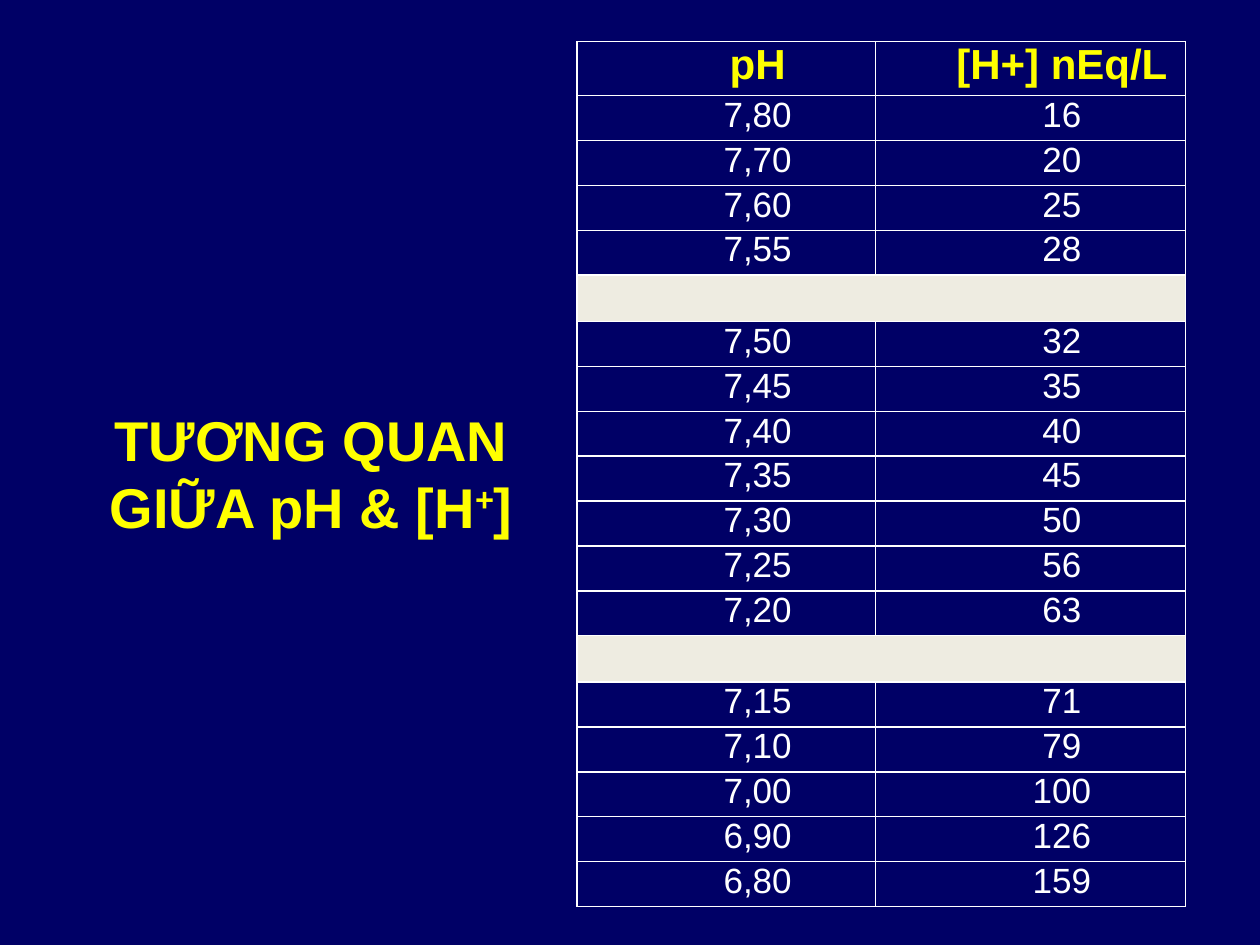
from dataclasses import dataclass

from lxml import etree
from pptx import Presentation
from pptx.dml.color import RGBColor
from pptx.enum.text import MSO_ANCHOR, PP_ALIGN
from pptx.oxml.ns import qn
from pptx.util import Inches, Pt

CENTER = PP_ALIGN.CENTER
MIDDLE = MSO_ANCHOR.MIDDLE
WIDTH, HEIGHT = 10, 7.5


@dataclass(frozen=True)
class Theme:
    font: str = "Arial"
    background: str = "000066"
    accent: str = "FFFF00"
    text: str = "FFFFFF"
    band: str = "EEECE1"
    title_size: int = 32
    header_size: int = 24
    body_size: int = 20


@dataclass(frozen=True)
class Box:
    left: float
    top: float
    width: float
    height: float

    def lengths(self) -> list:
        return [Inches(v) for v in (self.left, self.top, self.width, self.height)]


@dataclass(frozen=True)
class Reading:
    ph: str
    hydrogen: str


THEME = Theme()
TITLE_BOX = Box(0.33, 3.25, 4.28, 1)
TABLE_BOX = Box(4.58, 0.33, 4.83, 6.87)
COLUMN_SHARES = (0.49, 0.51)
HEADER_HEIGHT, BAND_HEIGHT = 0.43, 0.37

HEADER = Reading("pH", "[H+] nEq/L")
GROUPS = (
    (Reading("7,80", "16"), Reading("7,70", "20"), Reading("7,60", "25"),
     Reading("7,55", "28")),
    (Reading("7,50", "32"), Reading("7,45", "35"), Reading("7,40", "40"),
     Reading("7,35", "45"), Reading("7,30", "50"), Reading("7,25", "56"),
     Reading("7,20", "63")),
    (Reading("7,15", "71"), Reading("7,10", "79"), Reading("7,00", "100"),
     Reading("6,90", "126"), Reading("6,80", "159")),
)


def add_run(p, text: str, size: int, color: str, bold: bool):
    r = p.add_run()
    r.text = text
    r.font.size = Pt(size)
    r.font.bold = bold
    r.font.color.rgb = RGBColor.from_string(color)
    r.font.name = THEME.font
    return r


def add_text_shadow(r) -> None:
    fill = r.font._element.find(qn("a:solidFill"))
    effects = etree.Element(qn("a:effectLst"))
    shadow = etree.SubElement(effects, qn("a:outerShdw"),
                              blurRad="38100", dist="38100", dir="2700000")
    etree.SubElement(shadow, qn("a:srgbClr"), val="000000")
    fill.addnext(effects)


def add_title(slide) -> None:
    tf = slide.shapes.add_textbox(*TITLE_BOX.lengths()).text_frame
    tf.word_wrap = True
    tf.vertical_anchor = MIDDLE
    p = tf.paragraphs[0]
    p.alignment = CENTER
    for text, baseline in (("TƯƠNG QUAN GIỮA pH & [H", 0), ("+", 30000), ("]", 0)):
        r = add_run(p, text, THEME.title_size, THEME.accent, True)
        if baseline:
            r.font._element.set("baseline", str(baseline))
        add_text_shadow(r)


def style_cell(cell, fill: str | None = None) -> None:
    cell.margin_left = cell.margin_right = Inches(0.07)
    cell.margin_top = cell.margin_bottom = 0
    tc_pr = cell._tc.get_or_add_tcPr()
    for side in ("lnL", "lnR", "lnT", "lnB"):
        line = etree.SubElement(tc_pr, qn(f"a:{side}"), w=str(Pt(1)))
        paint = etree.SubElement(line, qn("a:solidFill"))
        etree.SubElement(paint, qn("a:srgbClr"), val=THEME.text)
    if fill:
        cell.fill.solid()
        cell.fill.fore_color.rgb = RGBColor.from_string(fill)
    else:
        cell.fill.background()


def fill_row(table, row: int, reading: Reading, size: int, color: str, bold: bool) -> None:
    for col, text in enumerate((reading.ph, reading.hydrogen)):
        cell = table.cell(row, col)
        style_cell(cell)
        p = cell.text_frame.paragraphs[0]
        p.alignment = CENTER
        p.space_after = Pt(3)
        p._p.get_or_add_pPr().set("marL", str(Inches(0.5)))
        add_run(p, text, size, color, bold)


def fill_band(table, row: int) -> None:
    table.cell(row, 0).merge(table.cell(row, 1))
    for col in range(2):
        style_cell(table.cell(row, col), THEME.band)


def add_readings_table(slide) -> None:
    # None marks the band between two groups
    rows = [HEADER]
    for i, group in enumerate(GROUPS):
        rows += ([None] if i else []) + list(group)
    bands = rows.count(None)
    row_height = ((TABLE_BOX.height - HEADER_HEIGHT - bands * BAND_HEIGHT)
                  / (len(rows) - 1 - bands))

    table = slide.shapes.add_table(len(rows), 2, *TABLE_BOX.lengths()).table
    table.first_row = table.horz_banding = False
    for column, share in zip(table.columns, COLUMN_SHARES):
        column.width = Inches(TABLE_BOX.width * share)

    for i, reading in enumerate(rows):
        if reading is None:
            height = BAND_HEIGHT
            fill_band(table, i)
        elif reading is HEADER:
            height = HEADER_HEIGHT
            fill_row(table, i, reading, THEME.header_size, THEME.accent, True)
        else:
            height = row_height
            fill_row(table, i, reading, THEME.body_size, THEME.text, False)
        table.rows[i].height = Inches(height)


def main() -> None:
    prs = Presentation()
    prs.slide_width, prs.slide_height = Inches(WIDTH), Inches(HEIGHT)
    slide = prs.slides.add_slide(prs.slide_layouts[6])
    background = slide.background.fill
    background.solid()
    background.fore_color.rgb = RGBColor.from_string(THEME.background)
    add_title(slide)
    add_readings_table(slide)
    prs.save("out.pptx")


if __name__ == "__main__":
    main()
